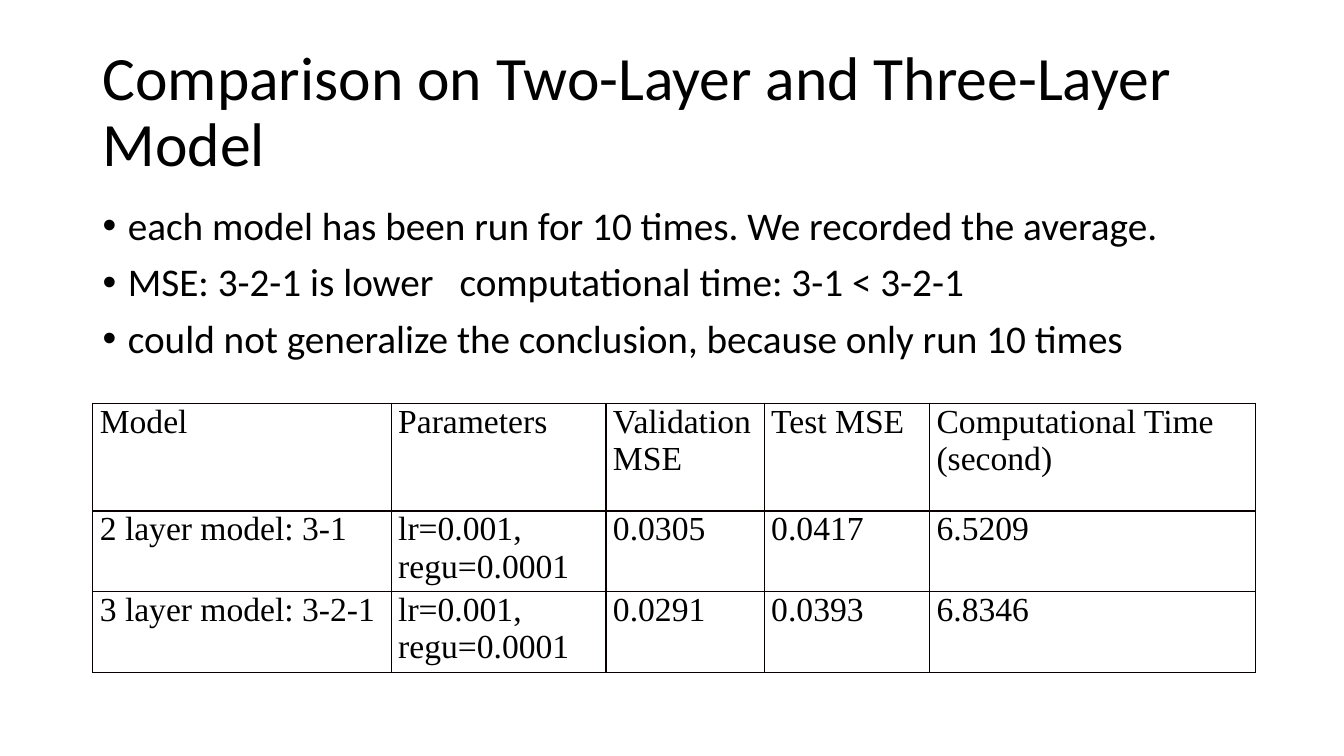
from dataclasses import dataclass

from lxml import etree
from pptx import Presentation
from pptx.dml.color import RGBColor
from pptx.enum import text
from pptx.oxml import ns
from pptx.util import Inches, Pt


@dataclass(frozen=True)
class Theme:
    ink: str = "000000"
    paper: str = "FFFFFF"
    border: str = "080000"
    sans: str = "Calibri"
    serif: str = "Times New Roman"
    title_size: int = 44
    body_size: int = 28
    table_size: int = 24


def write(paragraph, wording, *, font, size, color, line_spacing=None, before=None):
    run = paragraph.add_run()
    run.text = wording
    run.font.name = font
    run.font.size = Pt(size)
    run.font.color.rgb = RGBColor.from_string(color)
    if line_spacing is not None:
        paragraph.line_spacing = line_spacing
    if before is not None:
        paragraph.space_before = Pt(before)


def add_node(parent, tag, **attributes):
    node = etree.SubElement(parent, ns.qn(tag))
    for name, value in attributes.items():
        node.set(name, str(value))
    return node


class Deck:
    def __init__(self, theme, width, height):
        self.theme = theme
        self.presentation = Presentation()
        self.presentation.slide_width = Inches(width)
        self.presentation.slide_height = Inches(height)
        self.slide = self.presentation.slides.add_slide(self.presentation.slide_layouts[6])
        background = self.slide.background.fill
        background.solid()
        background.fore_color.rgb = RGBColor.from_string(theme.paper)

    def frame(self, box, anchor):
        frame = self.slide.shapes.add_textbox(*map(Inches, box)).text_frame
        frame.word_wrap = True
        frame.vertical_anchor = anchor
        return frame

    def title(self, wording, box):
        heading = self.frame(box, text.MSO_ANCHOR.MIDDLE).paragraphs[0]
        write(heading, wording, font=self.theme.sans, size=self.theme.title_size,
              color=self.theme.ink, line_spacing=0.9)

    def bullets(self, findings, box, tab_stop):
        frame = self.frame(box, text.MSO_ANCHOR.TOP)
        for index, finding in enumerate(findings):
            paragraph = frame.add_paragraph() if index else frame.paragraphs[0]
            write(paragraph, finding, font=self.theme.sans, size=self.theme.body_size,
                  color=self.theme.ink, line_spacing=0.9, before=10)
            properties = paragraph._p.get_or_add_pPr()
            properties.set("marL", str(Inches(0.25)))
            properties.set("indent", str(Inches(-0.25)))
            add_node(properties, "a:buFont", typeface="Arial")
            add_node(properties, "a:buChar", char="•")
            if "\t" in finding:
                stops = add_node(properties, "a:tabLst")
                add_node(stops, "a:tab", pos=Inches(tab_stop), algn="l")

    def table(self, rows, left, top, widths, heights):
        table = self.slide.shapes.add_table(
            len(rows), len(widths), Inches(left), Inches(top),
            Inches(sum(widths)), Inches(sum(heights))).table
        table.first_row = table.horz_banding = False
        for column, width in zip(table.columns, widths):
            column.width = Inches(width)
        for row, height, values in zip(table.rows, heights, rows):
            row.height = Inches(height)
            for cell, value in zip(row.cells, values):
                self.cell(cell, value)

    def cell(self, cell, value):
        cell.margin_left = cell.margin_right = Inches(0.07)
        cell.margin_top = cell.margin_bottom = 0
        write(cell.text_frame.paragraphs[0], value, font=self.theme.serif,
              size=self.theme.table_size, color=self.theme.ink)
        properties = cell._tc.get_or_add_tcPr()
        for side in ("a:lnL", "a:lnR", "a:lnT", "a:lnB"):
            line = add_node(properties, side, w=Pt(1))
            add_node(add_node(line, "a:solidFill"), "a:srgbClr", val=self.theme.border)
        cell.fill.background()

    def save(self):
        self.presentation.save("out.pptx")


def main():
    deck = Deck(Theme(), 13.33, 7.5)
    deck.title("Comparison on Two-Layer and Three-Layer Model", (0.92, 0.4, 11.5, 1.45))
    parameters = "lr=0.001, regu=0.0001"
    results = [
        ("Model", "Parameters", "Validation MSE", "Test MSE", "Computational Time (second)"),
        ("2 layer model: 3-1", parameters, "0.0305", "0.0417", "6.5209"),
        ("3 layer model: 3-2-1", parameters, "0.0291", "0.0393", "6.8346"),
    ]
    deck.table(results, 0.92, 4, (2.96, 2.13, 1.57, 1.64, 3.23), (1.07, 0.74, 0.74))
    findings = [
        "each model has been run for 10 times. We recorded the average.",
        "MSE: 3-2-1 is lower\tcomputational time: 3-1 < 3-2-1",
        "could not generalize the conclusion, because only run 10 times",
    ]
    deck.bullets(findings, (0.92, 2, 11.5, 4.76), tab_stop=3.54)
    deck.save()


if __name__ == "__main__":
    main()
